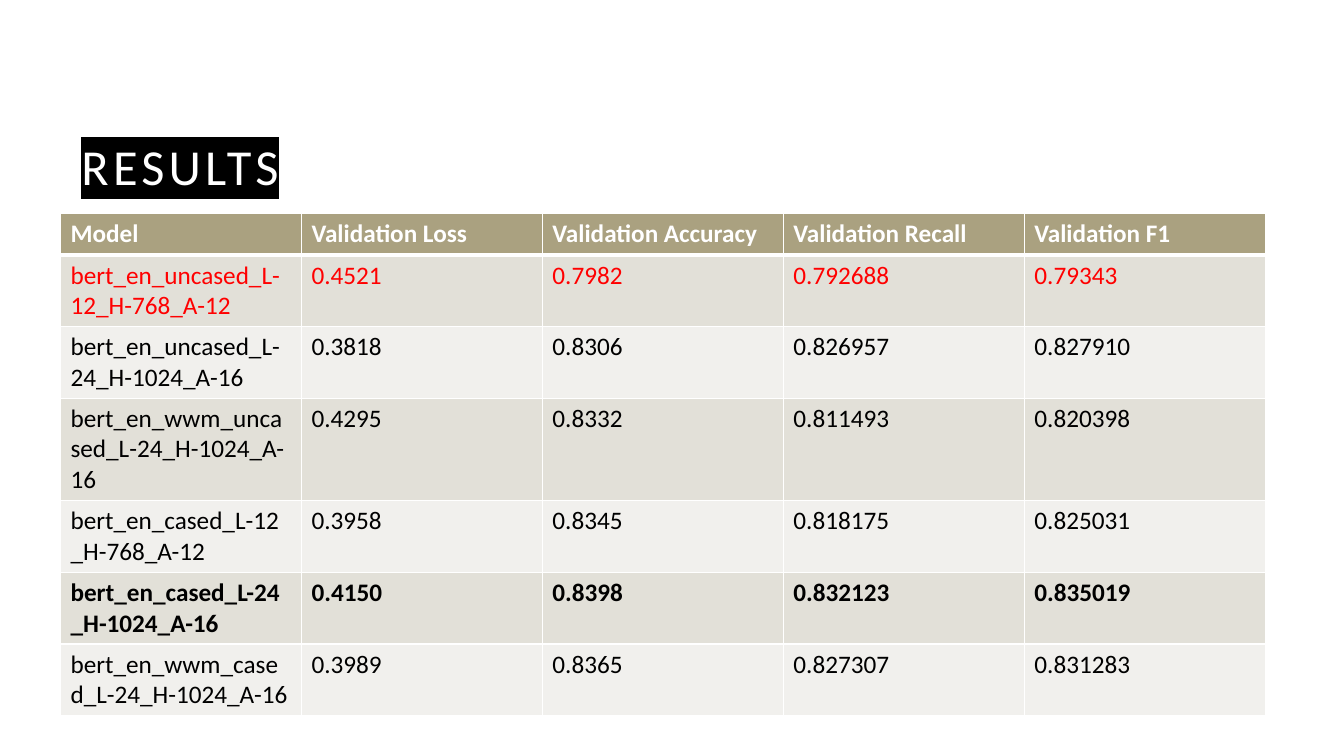
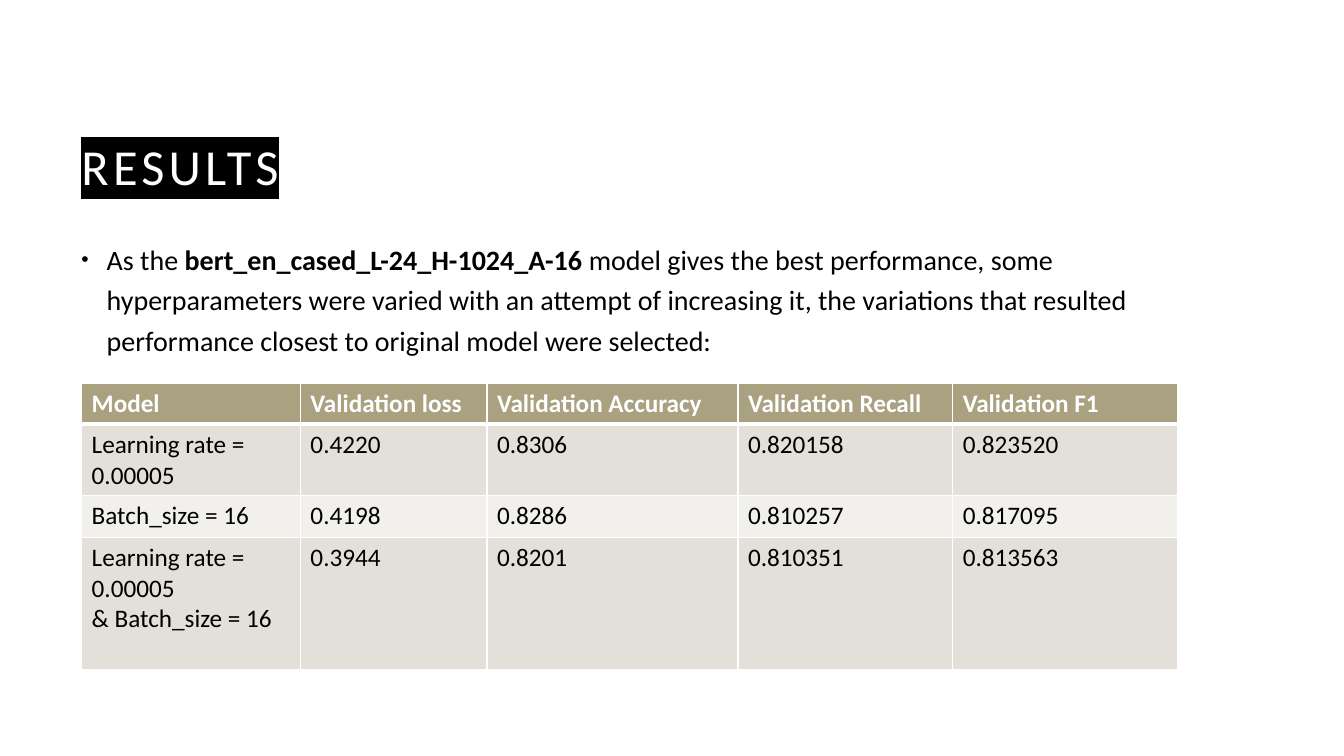
from lxml import etree
from pptx import Presentation
from pptx.dml.color import RGBColor
from pptx.enum.text import MSO_ANCHOR
from pptx.oxml.ns import qn
from pptx.util import Inches, Pt

BOTTOM = MSO_ANCHOR.BOTTOM
TOP = MSO_ANCHOR.TOP
FONT = "Calibri"
WHITE = RGBColor(0xFF, 0xFF, 0xFF)
BLACK = RGBColor(0x00, 0x00, 0x00)
RED = RGBColor(0xFF, 0x00, 0x00)
HEADER_FILL = RGBColor(0xAA, 0xA1, 0x80)
BAND_FILLS = (RGBColor(0xE2, 0xE0, 0xD8), RGBColor(0xF1, 0xF0, 0xED))

TITLE = "RESULTS"
MODEL_ROWS = [
    ("Model", "Validation Loss", "Validation Accuracy", "Validation Recall", "Validation F1"),
    ("bert_en_uncased_L-12_H-768_A-12", "0.4521", "0.7982", "0.792688", "0.79343"),
    ("bert_en_uncased_L-24_H-1024_A-16", "0.3818", "0.8306", "0.826957", "0.827910"),
    ("bert_en_wwm_uncased_L-24_H-1024_A-16", "0.4295", "0.8332", "0.811493", "0.820398"),
    ("bert_en_cased_L-12_H-768_A-12", "0.3958", "0.8345", "0.818175", "0.825031"),
    ("bert_en_cased_L-24_H-1024_A-16", "0.4150", "0.8398", "0.832123", "0.835019"),
    ("bert_en_wwm_cased_L-24_H-1024_A-16", "0.3989", "0.8365", "0.827307", "0.831283"),
]
WORST_ROW, BEST_ROW = 1, 5
MODEL_WIDTHS = [2.39] * 5
MODEL_HEIGHTS = [0.41, 0.71, 0.71, 1.02, 0.71, 0.71, 0.71]

SUMMARY = [
    ("As the ", False),
    ("bert_en_cased_L-24_H-1024_A-16 ", True),
    ("model gives the best performance, some hyperparameters were varied with an attempt "
     "of increasing it, the variations that resulted performance closest to original model "
     "were selected:", False),
]
VARIATION_ROWS = [
    ("Model", "Validation loss", "Validation Accuracy", "Validation Recall", "Validation F1"),
    ("Learning rate = 0.00005", "0.4220", "0.8306", "0.820158", "0.823520"),
    ("Batch_size = 16", "0.4198", "0.8286", "0.810257", "0.817095"),
    ("Learning rate = 0.00005\n& Batch_size = 16", "0.3944", "0.8201", "0.810351", "0.813563"),
]
VARIATION_WIDTHS = [2.17, 1.85, 2.49, 2.13, 2.23]
VARIATION_HEIGHTS = [0.41, 0.71, 0.41, 1.31]


def write_text(frame, content, *, size, color=BLACK, bold=False, line_spacing=None,
               space_before=None, tracking=None, highlight=None, bullet=None):
    """Fill a frame from a string (one paragraph per line) or a list of (text, bold) runs."""
    if isinstance(content, str):
        paragraphs = [[(line, bold)] for line in content.split("\n")]
    else:
        paragraphs = [content]
    for index, runs in enumerate(paragraphs):
        paragraph = frame.add_paragraph() if index else frame.paragraphs[0]
        if line_spacing:
            paragraph.line_spacing = line_spacing
        if space_before:
            paragraph.space_before = Pt(space_before)
        if bullet:
            add_bullet(paragraph, bullet)
        for text, run_bold in runs:
            run = paragraph.add_run()
            run.text = text
            font = run.font
            font.name, font.size, font.bold = FONT, Pt(size), run_bold
            font.color.rgb = color
            properties = run._r.get_or_add_rPr()
            if tracking:
                properties.set("spc", str(tracking * 100))
            if highlight is not None:
                mark = etree.Element(qn("a:highlight"))
                etree.SubElement(mark, qn("a:srgbClr"), val=str(highlight))
                properties.find(qn("a:solidFill")).addnext(mark)


def add_bullet(paragraph, character):
    properties = paragraph._p.get_or_add_pPr()
    properties.set("marL", str(Inches(0.25)))
    properties.set("indent", str(-Inches(0.25)))
    color = etree.SubElement(properties, qn("a:buClr"))
    etree.SubElement(color, qn("a:srgbClr"), val=str(BLACK))
    etree.SubElement(properties, qn("a:buSzPct"), val="75000")
    etree.SubElement(properties, qn("a:buFont"), typeface="Arial")
    etree.SubElement(properties, qn("a:buChar"), char=character)


def add_text(slide, content, left, top, width, height, *, anchor=TOP, bottom_inset=0.05, **style):
    shape = slide.shapes.add_textbox(Inches(left), Inches(top), Inches(width), Inches(height))
    frame = shape.text_frame
    frame.word_wrap = True
    frame.vertical_anchor = anchor
    frame.margin_bottom = Inches(bottom_inset)
    write_text(frame, content, **style)


def set_borders(cell, **widths):
    """Draw white cell borders; widths maps L, R, T and B to points."""
    properties = cell._tc.get_or_add_tcPr()
    for index, side in enumerate("LRTB"):
        line = etree.Element(qn(f"a:ln{side}"), w=str(Pt(widths.get(side, 1))))
        fill = etree.SubElement(line, qn("a:solidFill"))
        etree.SubElement(fill, qn("a:srgbClr"), val=str(WHITE))
        properties.insert(index, line)


def add_results_table(slide, rows, left, top, widths, heights, row_styles):
    """Draw a banded table; row_styles maps a row number to its text format."""
    table = slide.shapes.add_table(
        len(rows), len(widths), Inches(left), Inches(top),
        Inches(sum(widths)), Inches(sum(heights))).table
    for column, width in zip(table.columns, widths):
        column.width = Inches(width)
    for row_number, (values, height) in enumerate(zip(rows, heights)):
        table.rows[row_number].height = Inches(height)
        if row_number == 0:
            fill, style, borders = HEADER_FILL, {"color": WHITE, "bold": True}, {"B": 3}
        else:
            fill = BAND_FILLS[(row_number - 1) % 2]
            style = row_styles.get(row_number, {})
            borders = {"T": 3} if row_number == 1 else {}
        for column_number, value in enumerate(values):
            cell = table.cell(row_number, column_number)
            cell.fill.solid()
            cell.fill.fore_color.rgb = fill
            set_borders(cell, **borders)
            write_text(cell.text_frame, value, size=18, **style)


def add_titled_slide(presentation):
    slide = presentation.slides.add_slide(presentation.slide_layouts[6])
    add_text(slide, TITLE, 0.71, 0.71, 11.62, 1.25, anchor=BOTTOM, bottom_inset=0.02,
             size=36, color=WHITE, line_spacing=1.2, tracking=3, highlight=BLACK)
    return slide


def main():
    presentation = Presentation()
    presentation.slide_width = Inches(13.33)
    presentation.slide_height = Inches(7.5)

    slide = add_titled_slide(presentation)
    add_results_table(slide, MODEL_ROWS, 0.6, 2.12, MODEL_WIDTHS, MODEL_HEIGHTS,
                      {WORST_ROW: {"color": RED}, BEST_ROW: {"bold": True}})

    slide = add_titled_slide(presentation)
    add_text(slide, SUMMARY, 0.71, 2.29, 11.5, 1.4,
             size=20, line_spacing=1.2, space_before=10, bullet="•")
    add_results_table(slide, VARIATION_ROWS, 0.81, 3.8, VARIATION_WIDTHS, VARIATION_HEIGHTS, {})

    presentation.save("out.pptx")


if __name__ == "__main__":
    main()
